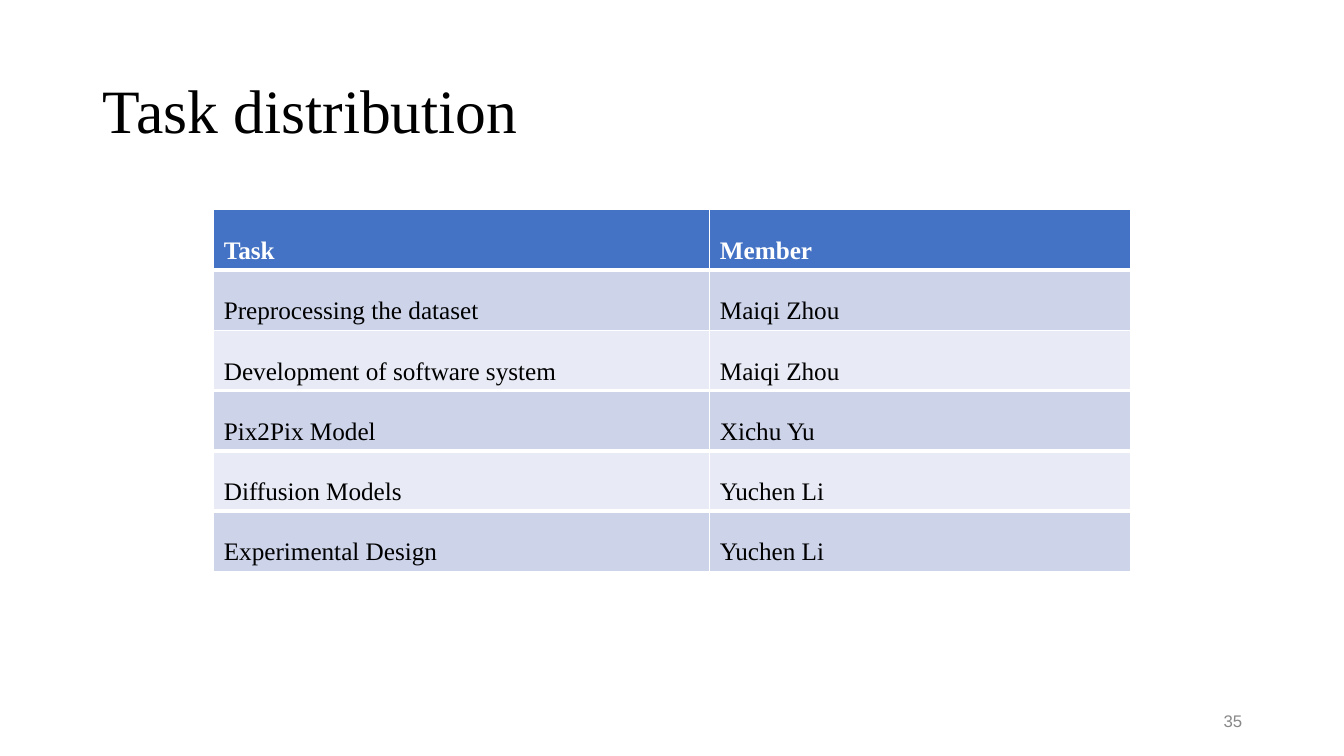
from lxml.etree import SubElement
from pptx import Presentation
from pptx.dml.color import RGBColor
from pptx.enum.text import MSO_ANCHOR as Anchor, PP_ALIGN as Align
from pptx.oxml.ns import qn
from pptx.util import Inches, Pt

TITLE = "Task distribution"
PAGE_NUMBER = "35"
TASKS = [
    ("Task", "Member"),
    ("Preprocessing the dataset", "Maiqi Zhou"),
    ("Development of software system", "Maiqi Zhou"),
    ("Pix2Pix Model", "Xichu Yu"),
    ("Diffusion Models", "Yuchen Li"),
    ("Experimental Design", "Yuchen Li"),
]
COLUMN_WIDTHS = (4.92, 4.17)
ROW_HEIGHT = 3.59 / len(TASKS)
RULE_WIDTHS = (1, 3, 1, 3, 3, 3, 1)

BLACK = RGBColor(0x00, 0x00, 0x00)
WHITE = RGBColor(0xFF, 0xFF, 0xFF)
GRAY = RGBColor(0x88, 0x88, 0x88)
HEADER_BLUE = RGBColor(0x44, 0x72, 0xC4)
BANDS = (RGBColor(0xE8, 0xEB, 0xF5), RGBColor(0xCD, 0xD4, 0xEA))
SERIF = "Times New Roman"
SANS = "Arial"


def place(box, left, top, width, height):
    box.left, box.top = Inches(left), Inches(top)
    box.width, box.height = Inches(width), Inches(height)


def write(frame, text, size, font, color, bold=False, align=Align.LEFT):
    para = frame.paragraphs[0]
    para.alignment = align
    span = para.add_run()
    span.text = text
    span.font.size = Pt(size)
    span.font.name = font
    span.font.bold = bold
    span.font.color.rgb = color
    return para


def add_borders(cell, top, bottom):
    properties = cell._tc.get_or_add_tcPr()
    sides = (("lnL", 1), ("lnR", 1), ("lnT", top), ("lnB", bottom))
    for position, (side, width) in enumerate(sides):
        line = SubElement(properties, qn(f"a:{side}"), w=str(Pt(width)))
        fill = SubElement(line, qn("a:solidFill"))
        SubElement(fill, qn("a:srgbClr"), val=str(WHITE))
        properties.insert(position, line)


def add_title(page):
    title = page.shapes.title
    place(title, 0.92, 0.4, 11.5, 1.45)
    title.text_frame.vertical_anchor = Anchor.MIDDLE
    write(title.text_frame, TITLE, 44, SERIF, BLACK).line_spacing = 0.9


def add_task_table(page):
    table = page.shapes.add_table(
        len(TASKS), len(COLUMN_WIDTHS), Inches(2.12), Inches(2.08),
        Inches(sum(COLUMN_WIDTHS)), Inches(ROW_HEIGHT * len(TASKS))).table
    table.horz_banding = False
    for column, width in zip(table.columns, COLUMN_WIDTHS):
        column.width = Inches(width)
    for index, texts in enumerate(TASKS):
        header = index == 0
        table.rows[index].height = Inches(ROW_HEIGHT)
        for cell, text in zip(table.rows[index].cells, texts):
            cell.vertical_anchor = Anchor.BOTTOM
            cell.fill.solid()
            cell.fill.fore_color.rgb = HEADER_BLUE if header else BANDS[index % 2]
            add_borders(cell, RULE_WIDTHS[index], RULE_WIDTHS[index + 1])
            write(cell.text_frame, text, 18, SERIF, WHITE if header else BLACK, header)


def add_page_number(page):
    box = page.shapes.add_textbox(Inches(9.42), Inches(6.95), Inches(3), Inches(0.4))
    box.text_frame.word_wrap = True
    box.text_frame.vertical_anchor = Anchor.MIDDLE
    write(box.text_frame, PAGE_NUMBER, 12, SANS, GRAY, align=Align.RIGHT)


def main():
    deck = Presentation()
    deck.slide_width, deck.slide_height = Inches(13.33), Inches(7.5)
    page = deck.slides.add_slide(deck.slide_layouts[5])
    add_title(page)
    add_task_table(page)
    add_page_number(page)
    deck.save("out.pptx")


if __name__ == "__main__":
    main()
